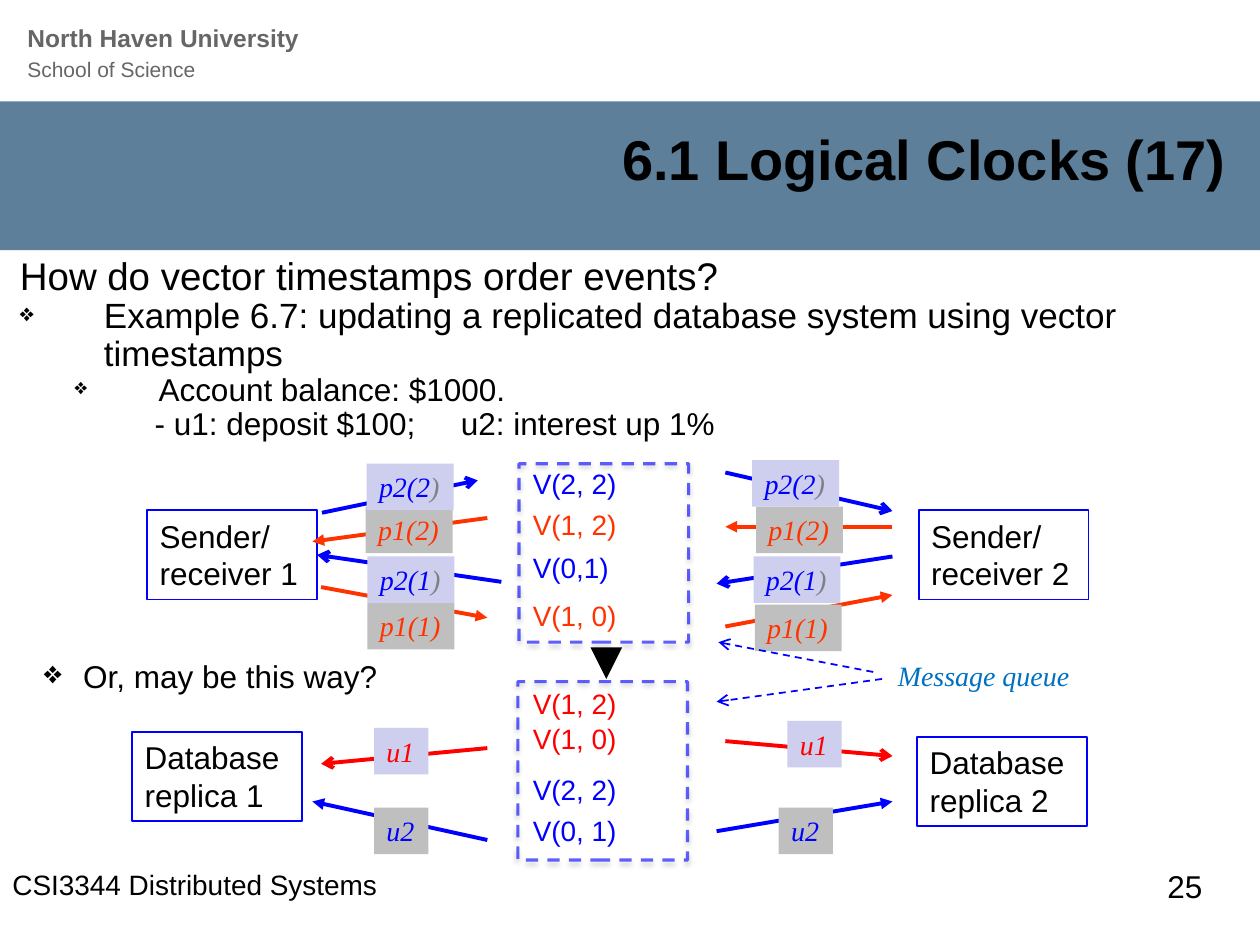
import pptx
import pptx.util
import pptx.dml.color
import pptx.enum.shapes
import pptx.enum.text
import pptx.enum.dml
import pptx.oxml
import pptx.oxml.ns
from dataclasses import dataclass

Pt = pptx.util.Pt
NS = pptx.oxml.ns.nsdecls("a")
ALIGN = pptx.enum.text.PP_ALIGN
ANCHOR = pptx.enum.text.MSO_ANCHOR


@dataclass(frozen=True)
class Theme:
    sans: str = "Arial"
    serif: str = "Times New Roman"
    black: str = "000000"
    band: str = "5D7F9A"
    header: str = "666666"
    blue: str = "0000FF"
    orange: str = "FF3300"
    red: str = "FF0000"
    note: str = "0070C0"
    dim: str = "808080"
    grey: str = "BFBFBF"
    lilac: str = "CECEEF"
    title: int = 32
    lead: int = 22
    item: int = 20
    body: int = 18
    small: int = 16
    head: int = 14
    subhead: int = 12


T = Theme()


class Deck:
    def __init__(self, prs, theme):
        self.theme = theme
        self.s = prs.slides.add_slide(prs.slide_layouts[6])

    def xml(self, parent, text):
        el = pptx.oxml.parse_xml(text.replace(">", f" {NS}>", 1) if "/>" not in text.split(">")[0] + ">"
                                 else text.replace("/>", f" {NS}/>", 1))
        parent.append(el)
        return el

    def run(self, p, text, size, color, font=None, **fmt):
        r = p.add_run()
        r.text = text
        values = {"name": font or self.theme.sans, "size": Pt(size), **fmt}
        for key, value in values.items():
            setattr(r.font, key, value)
        r.font.color.rgb = pptx.dml.color.RGBColor.from_string(color)

    def paragraph(self, p, runs, margin=0, indent=0, bullet=None, tab=None, **fmt):
        for key, value in fmt.items():
            setattr(p, key, value)
        for text, size, color, *rest in runs:
            if text == "\n":
                p.add_line_break()
            else:
                self.run(p, text, size, color, **(rest[0] if rest else {}))
        pPr = p._p.get_or_add_pPr()
        pPr.set("marL", str(Pt(margin)))
        pPr.set("indent", str(Pt(indent)))
        if bullet:
            self.xml(pPr, f'<a:buSzPct val="{bullet * 1000}"/>')
            self.xml(pPr, '<a:buChar char="❖"/>')
        if tab:
            self.xml(pPr, f'<a:tabLst><a:tab pos="{Pt(tab)}" algn="l"/></a:tabLst>')

    def fill_text(self, sp, paragraphs, wrap=True, anchor=ANCHOR.TOP):
        tf = sp.text_frame
        tf.word_wrap = wrap
        tf.vertical_anchor = anchor
        for i, fmt in enumerate(paragraphs):
            p = tf.add_paragraph() if i else tf.paragraphs[0]
            self.paragraph(p, **{"alignment": ALIGN.LEFT, **fmt})

    def text(self, x, y, w, h, paragraphs, **frame):
        sp = self.s.shapes.add_textbox(Pt(x), Pt(y), Pt(w), Pt(h))
        self.fill_text(sp, paragraphs, **frame)

    def rect(self, x, y, w, h, fill=None, line=None, width=1, runs=None, wrap=True):
        sp = self.s.shapes.add_shape(pptx.enum.shapes.MSO_SHAPE.RECTANGLE, Pt(x), Pt(y), Pt(w), Pt(h))
        sp.shadow.inherit = False
        if fill:
            sp.fill.solid()
            sp.fill.fore_color.rgb = pptx.dml.color.RGBColor.from_string(fill)
        else:
            sp.fill.background()
        if line:
            sp.line.color.rgb = pptx.dml.color.RGBColor.from_string(line)
            sp.line.width = Pt(width)
        else:
            sp.line.fill.background()
        if runs:
            self.fill_text(sp, [{"runs": runs}], wrap=wrap)
        return sp

    def queue(self, x, y, w, h):
        sp = self.rect(x, y, w, h, line=self.theme.blue, width=1.75)
        sp.line.dash_style = pptx.enum.dml.MSO_LINE.DASH
        clr = sp.line._ln.find(".//" + pptx.oxml.ns.qn("a:srgbClr"))
        self.xml(clr, '<a:alpha val="61000"/>')
        effects = sp._element.spPr.find(pptx.oxml.ns.qn("a:effectLst"))
        self.xml(effects, f'<a:outerShdw blurRad="{Pt(3.1)}" dist="{Pt(1.8)}" dir="5400000" rotWithShape="0">'
                          '<a:srgbClr val="000000"><a:alpha val="35000"/></a:srgbClr></a:outerShdw>')

    def arrow(self, x1, y1, x2, y2, color, head="triangle", width=2.25, dash=False, end=None):
        cx = self.s.shapes.add_connector(pptx.enum.shapes.MSO_CONNECTOR.STRAIGHT, Pt(x1), Pt(y1), Pt(x2), Pt(y2))
        cx.line.color.rgb = pptx.dml.color.RGBColor.from_string(color)
        cx.line.width = Pt(width)
        if dash:
            cx.line.dash_style = pptx.enum.dml.MSO_LINE.DASH
        self.xml(cx.line._ln, f'<a:tailEnd type="{head}"/>')
        self.xml(cx._element.spPr, "<a:effectLst/>")
        if end:
            cx.end_connect(*end)

    def label(self, x, y, w, fill, runs):
        runs = [(text, T.small, color, {"font": T.serif, "italic": True}) for text, color in runs]
        self.rect(x, y, w, 26.6, fill=fill, runs=runs, wrap=False)


def main():
    prs = pptx.Presentation()
    prs.slide_width, prs.slide_height = Pt(720), Pt(540)
    d = Deck(prs, T)

    d.rect(0, 58, 723, 85, fill=T.band)
    d.text(8.6, 9.4, 424, 42, [{"line_spacing": Pt(16.8), "runs": [
        ("North Haven University", T.head, T.header, {"bold": True}), ("\n", 0, ""),
        ("School of Science", T.subhead, T.header)]}])
    d.text(60, 65, 648, 51, [{"alignment": ALIGN.RIGHT, "runs": [
        ("6.1 Logical Clocks (17)", T.title, T.black, {"bold": True})]}], anchor=ANCHOR.MIDDLE)
    d.text(660, 492, 60, 36, [{"runs": [("25", T.body, T.black)]}])
    d.text(506, 373, 114, 26.6, [{"runs": [
        ("Message queue", T.small, T.note, {"font": T.serif, "italic": True})]}], wrap=False)

    hosts = [d.rect(x, y, 97, 51, line=T.blue, runs=[(text, T.body, T.black)]) for x, y, text in [
        (84.2, 291.6, "Sender/ receiver 1"), (525, 291.6, "Sender/ receiver 2"),
        (75.6, 418.3, "Database replica 1"), (524.2, 421.2, "Database replica 2")]]

    for x1, y1, x2, y2, color, head in [
            (184, 293, 273, 274.5, T.blue, "arrow"), (414.5, 270, 510, 292, T.blue, "arrow"),
            (183.5, 335.5, 278.5, 353, T.orange, "triangle"), (510, 318, 409.5, 333.5, T.blue, "arrow"),
            (414.5, 358, 510, 340, T.orange, "triangle"), (510, 301, 414.5, 301, T.orange, "triangle"),
            (278.5, 296, 178.5, 309.5, T.orange, "triangle"), (409.5, 475, 510, 458, T.blue, "triangle"),
            (278.5, 480, 178.5, 458, T.blue, "triangle"), (414.5, 423.5, 510, 432, T.red, "arrow"),
            (278.5, 427.5, 183.5, 436.5, T.red, "arrow")]:
        d.arrow(x1, y1, x2, y2, color, head)
    d.arrow(286.5, 332.5, 182, 318, T.blue, "arrow", end=(hosts[0], 3))
    d.arrow(346.5, 371, 346.5, 388, T.black, width=6)

    for text, fill, color, close, places in [
            ("p1(1", T.grey, T.orange, T.orange, [(210, 344.5), (431.3, 345.5)]),
            ("p1(2", T.grey, T.orange, T.orange, [(209, 289.5), (432, 289.5)]),
            ("p2(1", T.lilac, T.blue, T.dim, [(210, 318), (430.6, 318)]),
            ("p2(2", T.lilac, T.blue, T.dim, [(209.5, 265), (429.8, 263)])]:
        runs = [(text + ")", color)] if close == color else [(text, color), (")", close)]
        for x, y in places:
            d.label(x, y, 49.7, fill, runs)
    for text, fill, color, places in [
            ("u2", T.grey, T.blue, [(213.8, 461.5), (445, 461.5)]),
            ("u1", T.lilac, T.red, [(213.8, 416), (450, 412)])]:
        for x, y in places:
            d.label(x, y, 31, fill, [(text, color)])

    for x1, y1, x2, y2 in [(499, 384, 410.5, 367), (504, 388, 409.5, 401)]:
        d.arrow(x1, y1, x2, y2, T.blue, "arrow", width=1, dash=True)

    for text, y, color, spacing in [
            ("V(2, 2)", 266.5, T.blue, 0.8), ("V(1, 2)", 290, T.orange, 0.8),
            ("V(0,1)", 314.5, T.blue, 0.8), ("V(1, 0)", 338.5, T.orange, 1.0),
            ("V(1, 2)", 392.5, T.red, 0.8), ("V(1, 0)", 412.5, T.red, 0.8),
            ("V(2, 2)", 441.5, T.blue, 0.8), ("V(0, 1)", 461.5, T.blue, 1.0)]:
        d.text(297.4, y, 98.6, 20, [{"line_spacing": spacing, "runs": [(text, T.small, color)]}])
    for x, y in [(296.6, 265), (295.9, 389.5)]:
        d.queue(x, y, 97, 102)

    body = [
        ("How do vector timestamps order events?", T.lead, {"margin": 48, "indent": -48}),
        ("Example 6.7: updating a replicated database system using vector timestamps", T.item,
         {"margin": 48, "indent": -48, "bullet": 70}),
        ("Account balance: $1000.", T.body, {"level": 1, "margin": 79.2, "indent": -48, "bullet": 70}),
        ("- u1: deposit $100;\tu2: interest up 1%", T.body, {"level": 1, "indent": 77, "tab": 250.8})]
    d.text(4.3, 143.3, 708, 117, [
        {"runs": [(text, size, T.black)], "line_spacing": 0.9, **fmt} for text, size, fmt in body])
    d.text(0, 492, 315, 22, [{"runs": [("CSI3344 Distributed Systems", T.small, T.black)]}])
    d.text(18, 372, 222, 29, [{"margin": 22.5, "indent": -22.5, "bullet": 100,
                               "runs": [("Or, may be this way?", T.body, T.black)]}])
    prs.save("out.pptx")


if __name__ == "__main__":
    main()
